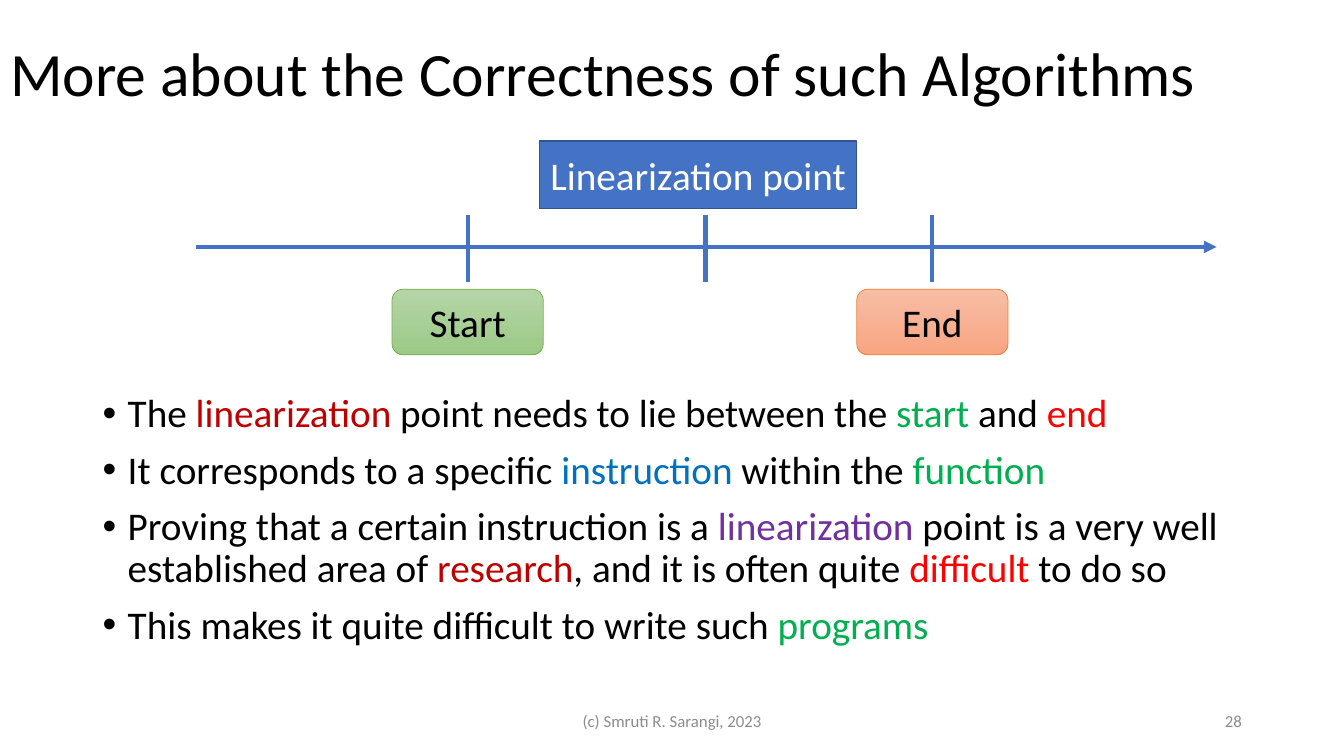
from lxml.etree import SubElement
from pptx import Presentation
from pptx.dml.color import RGBColor
from pptx.enum.shapes import MSO_CONNECTOR as Conn, MSO_SHAPE as Shape
from pptx.enum.text import MSO_ANCHOR as Anchor, PP_ALIGN as Align
from pptx.oxml.ns import qn
from pptx.util import Pt

FONT = "Calibri"
BLACK = RGBColor(0x00, 0x00, 0x00)
WHITE = RGBColor(0xFF, 0xFF, 0xFF)
GREY = RGBColor(0x8C, 0x8C, 0x8C)
BLUE = RGBColor(0x44, 0x72, 0xC4)
NAVY = RGBColor(0x32, 0x54, 0x91)
LEAF = RGBColor(0x70, 0xAD, 0x47)
LEAF_TOP = RGBColor(0xB5, 0xD5, 0xA7)
LEAF_LOW = RGBColor(0x9C, 0xC9, 0x87)
PEACH = RGBColor(0xED, 0x7D, 0x31)
PEACH_TOP = RGBColor(0xF7, 0xBD, 0xA5)
PEACH_LOW = RGBColor(0xF8, 0xA5, 0x82)
CRIMSON = RGBColor(0xC0, 0x00, 0x00)
GREEN = RGBColor(0x00, 0xB0, 0x50)
RED = RGBColor(0xFF, 0x00, 0x00)
AZURE = RGBColor(0x00, 0x70, 0xC0)
PURPLE = RGBColor(0x70, 0x30, 0xA0)

# Timeline measures in points
AXIS_Y = 176.4
TICK_TOP, TICK_LOW = 153.4, 201.6
START_X, POINT_X, END_X = 334.1, 504, 666
TAG_W, TAG_H, TAG_Y = 108, 46.8, 206.6

POINTS = [
    [("The ", BLACK), ("linearization", CRIMSON),
     (" point needs to lie between the ", BLACK), ("start", GREEN),
     (" and ", BLACK), ("end", RED)],
    [("It corresponds to a specific ", BLACK), ("instruction", AZURE),
     (" within the ", BLACK), ("function", GREEN)],
    [("Proving that a certain instruction is a ", BLACK),
     ("linearization", PURPLE),
     (" point is a very well established area of ", BLACK),
     ("research", CRIMSON), (", and it is often quite ", BLACK),
     ("difficult", RED), (" to do so", BLACK)],
    [("This makes it quite difficult to write such ", BLACK),
     ("programs", GREEN)],
]


def write(frame, paras, size=28, align=Align.LEFT, anchor=Anchor.MIDDLE,
          space=None, gap=0, bullet=False):
    """Fill a frame with paragraphs, each a list of (text, color) runs."""
    frame.word_wrap = True
    frame.vertical_anchor = anchor
    for i, runs in enumerate(paras):
        para = frame.add_paragraph() if i else frame.paragraphs[0]
        para.alignment = align
        para.line_spacing = space
        para.space_before = Pt(gap if i else 0)
        if bullet:
            props = para._p.get_or_add_pPr()
            props.set("marL", str(Pt(18)))
            props.set("indent", str(-Pt(18)))
            SubElement(props, qn("a:buFont"), typeface="Arial")
            SubElement(props, qn("a:buChar"), char="•")
        for text, color in runs:
            run = para.add_run()
            run.text = text
            run.font.name = FONT
            run.font.size = Pt(size)
            run.font.color.rgb = color


def add_text(slide, x, y, w, h, paras, **style):
    box = slide.shapes.add_textbox(Pt(x), Pt(y), Pt(w), Pt(h))
    write(box.text_frame, paras, **style)


def add_box(slide, kind, x, y, w, h, label, color, fills, edge, width):
    """Add a labelled box; two fills make a downward gradient."""
    box = slide.shapes.add_shape(kind, Pt(x), Pt(y), Pt(w), Pt(h))
    box.shadow.inherit = False
    if len(fills) == 1:
        box.fill.solid()
        box.fill.fore_color.rgb = fills[0]
    else:
        box.fill.gradient()
        box.fill.gradient_angle = 270
        for stop, fill in zip(box.fill.gradient_stops, fills):
            stop.color.rgb = fill
    box.line.color.rgb = edge
    box.line.width = Pt(width)
    write(box.text_frame, [[(label, color)]], align=Align.CENTER)


def add_line(slide, x1, y1, x2, y2, arrow=False):
    line = slide.shapes.add_connector(
        Conn.STRAIGHT, Pt(x1), Pt(y1), Pt(x2), Pt(y2))
    line.line.color.rgb = BLUE
    line.line.width = Pt(3)
    if arrow:
        SubElement(line.line._get_or_add_ln(), qn("a:tailEnd"),
                   type="triangle")
    SubElement(line._element.spPr, qn("a:effectLst"))


def main():
    deck = Presentation()
    deck.slide_width, deck.slide_height = Pt(960), Pt(540)
    slide = deck.slides.add_slide(deck.slide_layouts[5])

    # Title
    title = slide.shapes.title
    title.left, title.top = Pt(0), Pt(2.2)
    title.width, title.height = Pt(931.7), Pt(104.4)
    write(title.text_frame,
          [[("More about the Correctness of such Algorithms", BLACK)]],
          size=44, space=0.9)

    # Bullets
    add_text(slide, 66.2, 277.9, 828, 208.8, POINTS, anchor=Anchor.TOP,
             space=0.9, gap=10, bullet=True)

    # Footer
    add_text(slide, 318.2, 500.4, 324, 28.8,
             [[("(c) Smruti R. Sarangi, 2023", GREY)]],
             size=12, align=Align.CENTER)
    add_text(slide, 678.2, 500.4, 216, 28.8, [[("28", GREY)]],
             size=12, align=Align.RIGHT)

    # Timeline
    add_line(slide, 139.7, AXIS_Y, 869, AXIS_Y, arrow=True)
    for x in (START_X, POINT_X, END_X):
        add_line(slide, x, TICK_TOP, x, TICK_LOW)

    # Labels
    for x, label, fills, edge in (
            (START_X, "Start", (LEAF_TOP, LEAF_LOW), LEAF),
            (END_X, "End", (PEACH_TOP, PEACH_LOW), PEACH)):
        add_box(slide, Shape.ROUNDED_RECTANGLE, x - TAG_W / 2, TAG_Y,
                TAG_W, TAG_H, label, BLACK, fills, edge, 0.5)
    add_box(slide, Shape.RECTANGLE, 385.2, 100.8, 226.8, 48.2,
            "Linearization point", WHITE, (BLUE,), NAVY, 1)

    deck.save("out.pptx")


if __name__ == "__main__":
    main()
